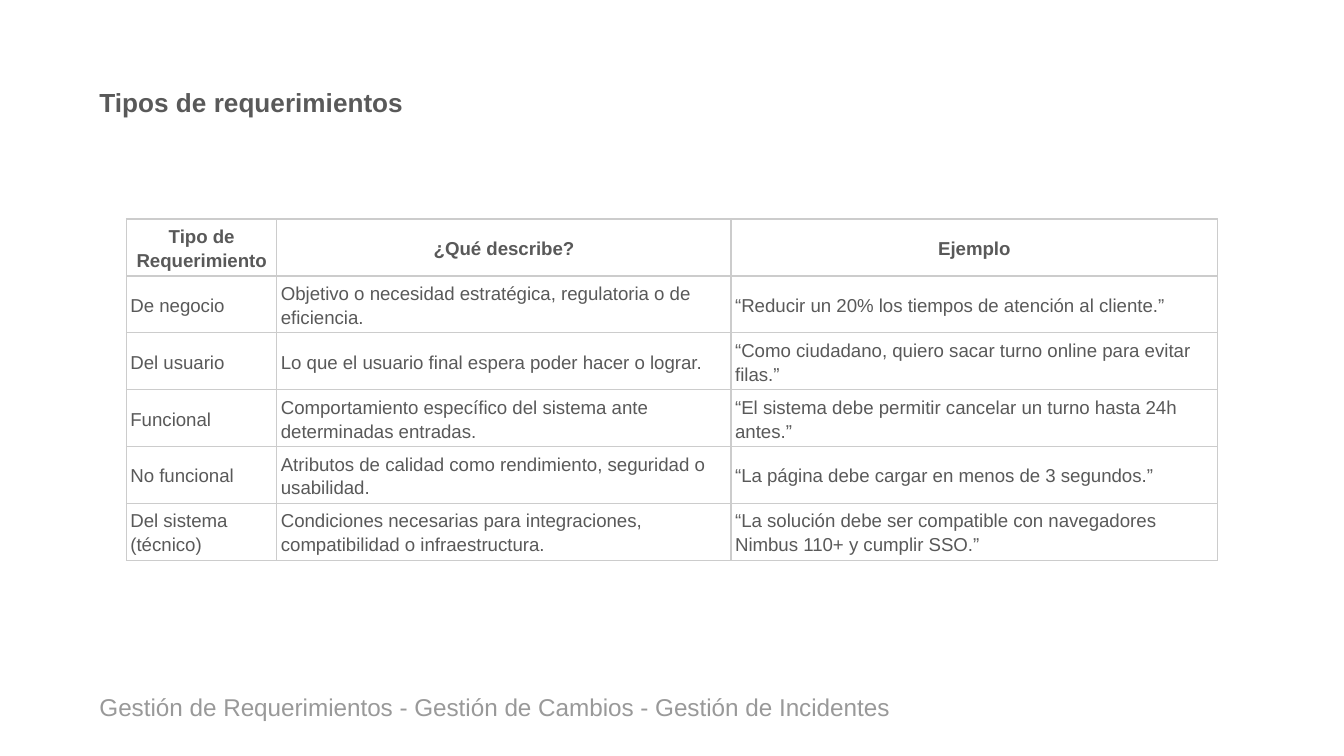
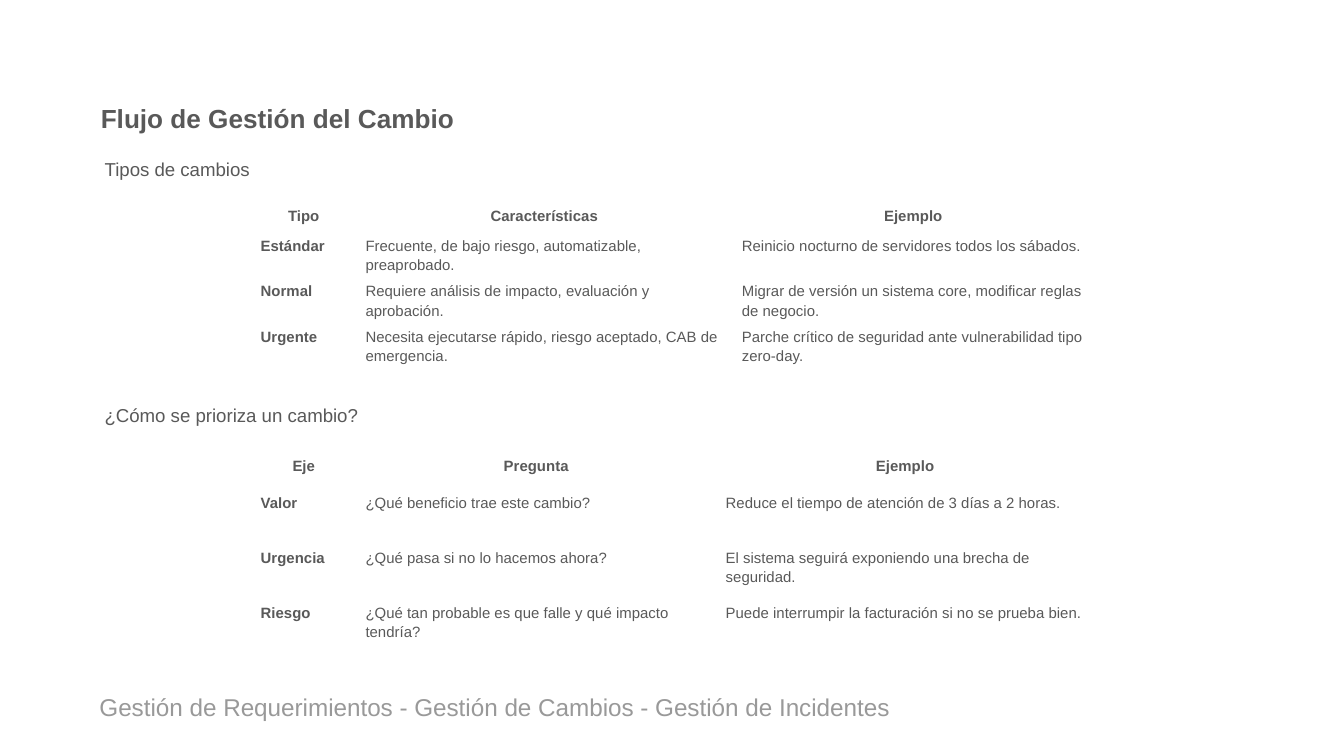
from lxml.etree import SubElement
from pptx import Presentation
from pptx.dml.color import RGBColor
from pptx.enum.text import MSO_ANCHOR as ANCHOR, MSO_AUTO_SIZE as FIT, PP_ALIGN as ALIGN
from pptx.oxml.ns import qn
from pptx.util import Inches, Pt

COLORS = {"text": "595959", "footer": "999999", "border": "CCCCCC", "cell": "FFFFFF"}
FONT = "Arial"
MARGINS = (0.07, 0.04, 0.07, 0.04)
FOOTER = "Gestión de Requerimientos - Gestión de Cambios - Gestión de Incidentes"

REQUIREMENTS = [
    ("Tipo de Requerimiento", "¿Qué describe?", "Ejemplo"),
    ("De negocio", "Objetivo o necesidad estratégica, regulatoria o de eficiencia.",
     "“Reducir un 20% los tiempos de atención al cliente.”"),
    ("Del usuario", "Lo que el usuario final espera poder hacer o lograr.",
     "“Como ciudadano, quiero sacar turno online para evitar filas.”"),
    ("Funcional", "Comportamiento específico del sistema ante determinadas entradas.",
     "“El sistema debe permitir cancelar un turno hasta 24h antes.”"),
    ("No funcional", "Atributos de calidad como rendimiento, seguridad o usabilidad.",
     "“La página debe cargar en menos de 3 segundos.”"),
    ("Del sistema (técnico)",
     "Condiciones necesarias para integraciones, compatibilidad o infraestructura.",
     "“La solución debe ser compatible con navegadores Nimbus 110+ y cumplir SSO.”"),
]
CHANGE_TYPES = [
    ("Tipo", "Características", "Ejemplo"),
    ("Estándar", "Frecuente, de bajo riesgo, automatizable, preaprobado.",
     "Reinicio nocturno de servidores todos los sábados."),
    ("Normal", "Requiere análisis de impacto, evaluación y aprobación.",
     "Migrar de versión un sistema core, modificar reglas de negocio."),
    ("Urgente", "Necesita ejecutarse rápido, riesgo aceptado, CAB de emergencia.",
     "Parche crítico de seguridad ante vulnerabilidad tipo zero-day."),
]
PRIORITIES = [
    ("Eje", "Pregunta", "Ejemplo"),
    ("Valor", "¿Qué beneficio trae este cambio?",
     "Reduce el tiempo de atención de 3 días a 2 horas."),
    ("Urgencia", "¿Qué pasa si no lo hacemos ahora?",
     "El sistema seguirá exponiendo una brecha de seguridad."),
    ("Riesgo", "¿Qué tan probable es que falle y qué impacto tendría?",
     "Puede interrumpir la facturación si no se prueba bien."),
]


def set_margins(target, margins):
    """Set the left, top, right and bottom margins of a text frame or cell."""
    for side, value in zip(("left", "top", "right", "bottom"), margins):
        setattr(target, f"margin_{side}", Inches(value))


def write(tf, text, size, color="text", bold=False, align=ALIGN.LEFT, spacing=1.0):
    """Write one formatted run in the first paragraph of a text frame."""
    p = tf.paragraphs[0]
    p.alignment = align
    p.line_spacing = spacing
    r = p.add_run()
    r.text = text
    r.font.name = FONT
    r.font.size = Pt(size)
    r.font.bold = bold
    r.font.color.rgb = RGBColor.from_string(COLORS[color])


def add_text(s, box, text, size, color="text", margins=MARGINS):
    """Add a wrapping text box."""
    tf = s.shapes.add_textbox(*map(Inches, box)).text_frame
    tf.word_wrap = True
    set_margins(tf, margins)
    write(tf, text, size, color)


def add_slide(prs, title, box):
    """Add a slide with its title and the shared footer."""
    s = prs.slides.add_slide(prs.slide_layouts[5])
    sp = s.shapes.title
    sp.left, sp.top, sp.width, sp.height = map(Inches, box)
    tf = sp.text_frame
    tf.word_wrap = True
    tf.auto_size = FIT.NONE
    tf.vertical_anchor = ANCHOR.TOP
    set_margins(tf, MARGINS)
    write(tf, title, 14, bold=True)
    add_text(s, (0.67, 5.11, 6.28, 0.51), FOOTER, 13, "footer")
    return s


def set_borders(cell, color):
    """Draw the four cell borders, or hide them when there is no colour."""
    tc_pr = cell._tc.get_or_add_tcPr()
    for side in "LRTB":
        ln = SubElement(tc_pr, qn(f"a:ln{side}"), w=str(Pt(0.75)))
        if color:
            fill = SubElement(ln, qn("a:solidFill"))
            SubElement(fill, qn("a:srgbClr"), val=COLORS[color])
        else:
            SubElement(ln, qn("a:noFill"))


def add_grid(s, box, cols, heights, rows, size, margins,
             anchor=ANCHOR.TOP, border=None, fill=None, bold_labels=False):
    """Add a table with a centred bold header row."""
    frame = s.shapes.add_table(len(rows), len(cols), *map(Inches, box))
    table = frame.table
    table.horz_banding = False
    for col, width in zip(table.columns, cols):
        col.width = Inches(width)
    for row, height in zip(table.rows, heights):
        row.height = Inches(height)
    frame.height = Inches(box[3])
    for i, texts in enumerate(rows):
        for j, text in enumerate(texts):
            cell = table.cell(i, j)
            set_margins(cell, margins)
            cell.vertical_anchor = anchor
            set_borders(cell, border)
            if fill:
                cell.fill.solid()
                cell.fill.fore_color.rgb = RGBColor.from_string(COLORS[fill])
            else:
                cell.fill.background()
            header = i == 0
            write(cell.text_frame, text, size, bold=header or (bold_labels and j == 0),
                  align=ALIGN.CENTER if header else ALIGN.LEFT, spacing=1.15)


def add_section(s, top, heading, width, gap, height, cols, heights, rows, fill=None):
    """Add a heading with a borderless table below it."""
    add_grid(s, (1.87, top + gap, 6.27, height), cols, heights, rows, 8,
             (0.07, 0, 0.07, 0), fill=fill, bold_labels=True)
    add_text(s, (0.68, top, width, 0.37), heading, 10, margins=(0.1,) * 4)


def requirements_slide(prs):
    """Build the slide on types of requirements."""
    s = add_slide(prs, "Tipos de requerimientos", (0.67, 0.6, 6.74, 0.3))
    add_grid(s, (0.94, 1.63, 8.11, 2.55), (1.12, 3.38, 3.62),
             [0.38] + [0.22] * 4 + [0.38], REQUIREMENTS,
             10, (0.03, 0.02, 0.03, 0.02), ANCHOR.MIDDLE, "border")


def changes_slide(prs):
    """Build the slide on types and priority of changes."""
    s = add_slide(prs, "Flujo de Gestión del Cambio", (0.68, 0.72, 4.4, 0.3))
    add_section(s, 1.09, "Tipos de cambios", 5.01, 0.44, 1.23, (0.78, 2.8, 2.69),
                [0.22] + [0.34] * 3, CHANGE_TYPES, "cell")
    add_section(s, 2.92, "¿Cómo se prioriza un cambio?", 5.09, 0.47, 1.48,
                (0.78, 2.68, 2.81), [0.27] + [0.41] * 3, PRIORITIES)


def main():
    """Build and save the presentation in 16:9."""
    prs = Presentation()
    prs.slide_width = Inches(10)
    prs.slide_height = prs.slide_width * 9 // 16
    requirements_slide(prs)
    changes_slide(prs)
    prs.save("out.pptx")


if __name__ == "__main__":
    main()
